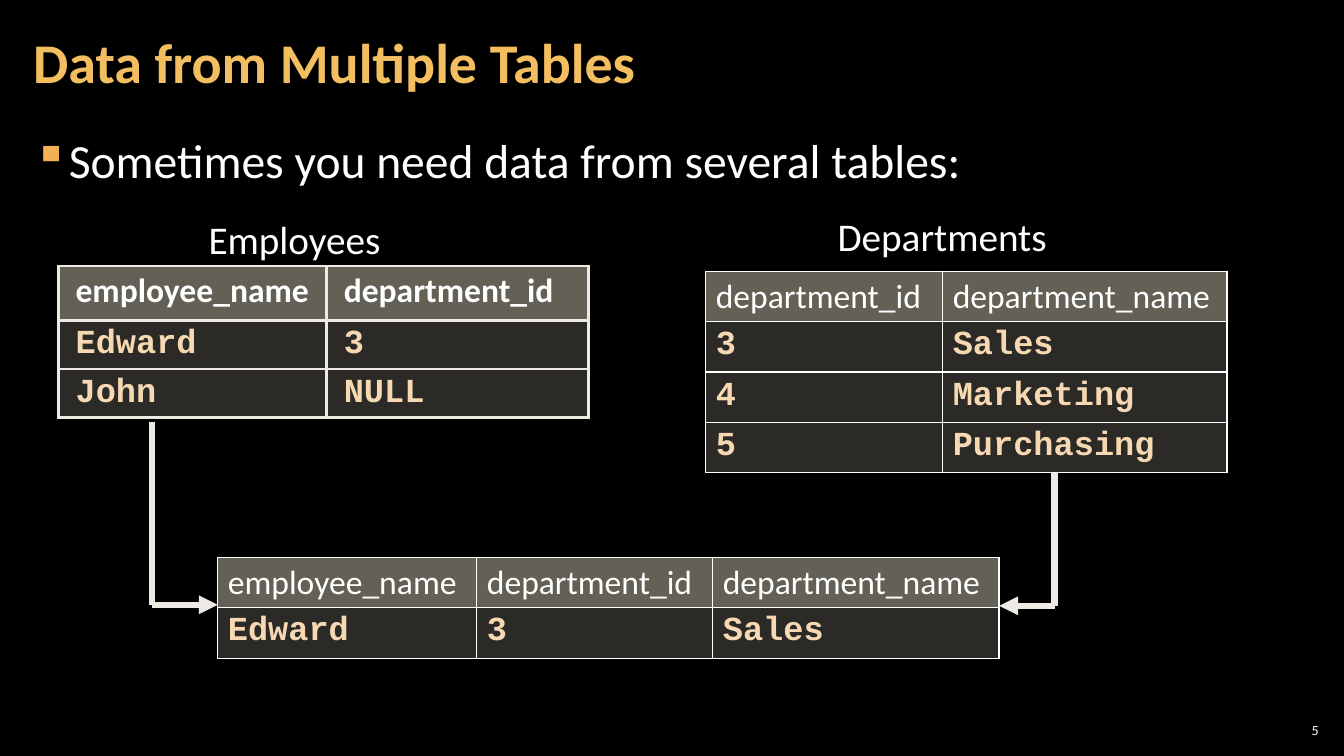
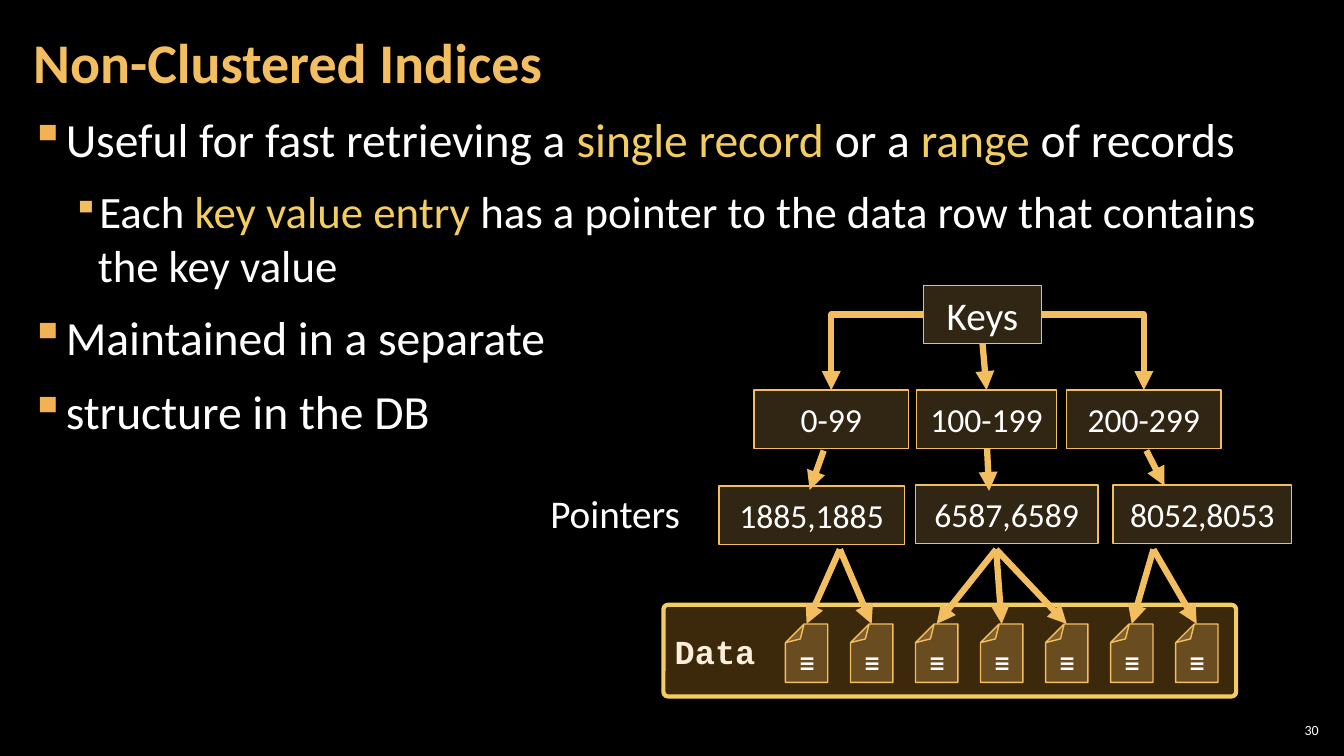
import pptx
import pptx.dml.color
import pptx.enum.shapes
import pptx.enum.text
import pptx.oxml.ns
import pptx.util
from lxml import etree

Inches, Pt = pptx.util.Inches, pptx.util.Pt
qn = pptx.oxml.ns.qn
MSO_SHAPE = pptx.enum.shapes.MSO_SHAPE
CONNECTOR = pptx.enum.shapes.MSO_CONNECTOR
ALIGN = pptx.enum.text.PP_ALIGN
ANCHOR = pptx.enum.text.MSO_ANCHOR

COLORS = {
    "background": "000000", "white": "FFFFFF", "gold": "F3BE60",
    "yellow": "F3CD60", "bullet": "F2B254", "amber": "F0A22E",
    "cream": "FBEEDC", "ivory": "ECEAE3", "value": "F6D9B2",
    "header_fill": "C6C0AA", "value_fill": "D9D5C7",
}
# Text style: colour, then font attributes
FORMATS = {
    "title": ("gold", {"name": "Calibri", "size": Pt(40), "bold": True}),
    "body": ("white", {"name": "Calibri", "size": Pt(34)}),
    "sub_body": ("white", {"name": "Calibri", "size": Pt(32)}),
    "caption": ("white", {"name": "Calibri", "size": Pt(28)}),
    "label": ("white", {"name": "Calibri", "size": Pt(24)}),
    "header": ("white", {"name": "Calibri", "size": Pt(24), "bold": False}),
    "bold_header": ("white", {"name": "Calibri", "size": Pt(24), "bold": True}),
    "value": ("value", {"name": "Courier New", "size": Pt(24), "bold": True}),
    "data": ("cream", {"name": "Courier New", "size": Pt(24), "bold": True}),
    "icon": ("white", {"name": "Courier New", "size": Pt(18), "bold": True}),
    "number": ("white", {"name": "Calibri", "size": Pt(10)}),
}
# Bullet level: text style, left margin, indent, bullet colour, bullet size
LEVELS = [
    ("body", 0.33, -0.33, "bullet", 100),
    ("sub_body", 0.67, -0.25, "gold", 80),
]
TITLE_INSETS = (0.12, 0.04)


def rgb(color):
    return pptx.dml.color.RGBColor.from_string(COLORS[color])


def add_xml(parent, tag, **attributes):
    child = etree.SubElement(parent, qn(tag))
    for key, value in attributes.items():
        child.set(key, str(value))
    return child


def fill_solid(target, properties, color, opacity):
    """Fill with a colour at a percentage of opacity."""
    target.fill.solid()
    target.fill.fore_color.rgb = rgb(color)
    color_xml = properties.find(qn("a:solidFill"))[0]
    add_xml(color_xml, "a:alpha", val=opacity * 1000)


def write(paragraph, text, style, color=None):
    run = paragraph.add_run()
    run.text = text
    default_color, font_format = FORMATS[style]
    for key, value in font_format.items():
        setattr(run.font, key, value)
    run.font.color.rgb = rgb(color or default_color)


def set_frame(frame, insets=(0.1, 0.05), anchor=ANCHOR.TOP):
    horizontal, vertical = (Inches(inset) for inset in insets)
    frame_format = {
        "margin_left": horizontal, "margin_right": horizontal,
        "margin_top": vertical, "margin_bottom": vertical,
        "word_wrap": True, "vertical_anchor": anchor,
    }
    for key, value in frame_format.items():
        setattr(frame, key, value)


class Deck:
    """Holds the presentation, its style and the current slide."""

    def __init__(self):
        self.presentation = pptx.Presentation()
        self.presentation.slide_width = Inches(13.33)
        self.presentation.slide_height = Inches(7.5)
        background = self.presentation.slide_master.background.fill
        background.solid()
        background.fore_color.rgb = rgb("background")
        self.slide = None

    def start_slide(self, title, number):
        blank = self.presentation.slide_layouts[6]
        self.slide = self.presentation.slides.add_slide(blank)
        heading = self.text((0.21, 0.04, 10.47, 1.21), title, "title",
                            insets=TITLE_INSETS, anchor=ANCHOR.MIDDLE)
        heading.line_spacing = 0.9
        self.text((12.65, 7.14, 0.47, 0.21), number, "number", ALIGN.RIGHT,
                  insets=(0.04, 0.04), anchor=ANCHOR.MIDDLE)

    def frame(self, box, **frame_options):
        frame = self.slide.shapes.add_textbox(*map(Inches, box)).text_frame
        set_frame(frame, **frame_options)
        return frame

    def text(self, box, text, style, align=ALIGN.LEFT, **frame_options):
        paragraph = self.frame(box, **frame_options).paragraphs[0]
        paragraph.alignment = align
        write(paragraph, text, style)
        return paragraph

    def bullets(self, box, items):
        """Items are (level, [(text, colour or None), ...])."""
        frame = self.frame(box, insets=TITLE_INSETS)
        for index, (level, parts) in enumerate(items):
            paragraph = frame.add_paragraph() if index else frame.paragraphs[0]
            style, margin, indent, color, size = LEVELS[level]
            paragraph.level = level
            paragraph.space_before = Pt(6 if index else 0)
            paragraph.space_after = Pt(6)
            properties = paragraph._p.get_or_add_pPr()
            properties.set("marL", str(Inches(margin)))
            properties.set("indent", str(Inches(indent)))
            bullet_color = add_xml(properties, "a:buClr")
            add_xml(bullet_color, "a:srgbClr", val=COLORS[color])
            add_xml(properties, "a:buSzPct", val=size * 1000)
            add_xml(properties, "a:buChar", char="▪")
            for text, part_color in parts:
                write(paragraph, text, style, part_color)

    def shape(self, box, kind=MSO_SHAPE.RECTANGLE, text="", style="label",
              fill=("gold", 20), line=("gold", 1), align=ALIGN.CENTER, adjust=None):
        shape = self.slide.shapes.add_shape(kind, *map(Inches, box))
        shape.shadow.inherit = False
        fill_solid(shape, shape.element.spPr, *fill)
        line_color, width = line
        shape.line.color.rgb = rgb(line_color)
        shape.line.width = Pt(width)
        if adjust is not None:
            outline = shape.element.spPr.find(qn("a:prstGeom"))
            for guides in outline.findall(qn("a:avLst")):
                outline.remove(guides)
            add_xml(add_xml(outline, "a:avLst"), "a:gd", name="adj",
                    fmla=f"val {round(adjust * 100000)}")
        set_frame(shape.text_frame, anchor=ANCHOR.MIDDLE)
        if text:
            paragraph = shape.text_frame.paragraphs[0]
            paragraph.alignment = align
            write(paragraph, text, style)
        return shape

    def style_line(self, connector, color, arrow=True):
        connector.line.color.rgb = rgb(color)
        connector.line.width = Pt(4.5)
        properties = connector._element.spPr
        if arrow:
            add_xml(properties.find(qn("a:ln")), "a:tailEnd", type="triangle")
        add_xml(properties, "a:effectLst")

    def arrow(self, *points, color="gold"):
        """Straight segments through the points, with a head on the last."""
        for start, end in zip(points, points[1:]):
            connector = self.slide.shapes.add_connector(
                CONNECTOR.STRAIGHT, *map(Inches, start + end))
            self.style_line(connector, color, arrow=end == points[-1])

    def link(self, parent, site, child):
        """Join a side of the parent to the top of the child."""
        bottom = 2
        kind = CONNECTOR.STRAIGHT if site == bottom else CONNECTOR.ELBOW
        connector = self.slide.shapes.add_connector(kind, 0, 0, 0, 0)
        connector.begin_connect(parent, site)
        connector.end_connect(child, 0)
        if kind == CONNECTOR.ELBOW:
            outline = connector._element.spPr.find(qn("a:prstGeom"))
            outline.set("prst", "bentConnector2")
        self.style_line(connector, "gold")

    def border(self, cell, color, width):
        properties = cell._tc.get_or_add_tcPr()
        for index, side in enumerate(("a:lnL", "a:lnR", "a:lnT", "a:lnB")):
            edge = add_xml(properties, side, w=Pt(width))
            add_xml(add_xml(edge, "a:solidFill"), "a:srgbClr", val=COLORS[color])
            properties.insert(index, edge)

    def table(self, left, top, widths, heights, rows, header="header",
              border=("white", 1), side_margin=0.1):
        table = self.slide.shapes.add_table(
            len(rows), len(widths), Inches(left), Inches(top),
            Inches(sum(widths)), Inches(sum(heights))).table
        table.first_row = table.horz_banding = False
        for column, width in zip(table.columns, widths):
            column.width = Inches(width)
        for row_index, (values, height) in enumerate(zip(rows, heights)):
            table.rows[row_index].height = Inches(height)
            style = "value" if row_index else header
            fill = ("value_fill", 20) if row_index else ("header_fill", 50)
            for column_index, value in enumerate(values):
                cell = table.cell(row_index, column_index)
                cell.margin_left = cell.margin_right = Inches(side_margin)
                fill_solid(cell, cell._tc.get_or_add_tcPr(), *fill)
                self.border(cell, *border)
                paragraph = cell.text_frame.paragraphs[0]
                if style != "header":
                    paragraph.line_spacing = 0.95
                write(paragraph, value, style)


def build_tables_slide(deck):
    deck.start_slide("Data from Multiple Tables", "5")
    deck.arrow((10.46, 4.69), (10.46, 6.01), (9.91, 6.01), color="ivory")
    deck.arrow((1.51, 4.19), (1.51, 6), (2.16, 6), color="ivory")
    deck.bullets((0.21, 1.26, 12.91, 0.8), [
        (0, [("Sometimes you need data from several tables:", None)])])
    deck.text((1.97, 2.09, 2.2, 0.57), "Employees", "caption")
    deck.text((8.21, 2.06, 2.5, 0.57), "Departments", "caption")
    deck.table(7, 2.69, (2.35, 2.82), [0.5] * 4, [
        ("department_id", "department_name"),
        ("3", "Sales"), ("4", "Marketing"), ("5", "Purchasing")])
    deck.table(2.16, 5.53, (2.57, 2.34, 2.84), [0.5] * 2, [
        ("employee_name", "department_id", "department_name"),
        ("Edward", "3", "Sales")])
    deck.table(0.58, 2.64, (2.66, 2.6), (0.54, 0.48, 0.48), [
        ("employee_name", "department_id"), ("Edward", "3"), ("John", "NULL")],
        header="bold_header", border=("ivory", 2.25), side_margin=0.17)


def build_indices_slide(deck):
    deck.start_slide("Non-Clustered Indices", "30")
    deck.bullets((0.18, 1.05, 12.91, 6.09), [
        (0, [("Useful for fast retrieving a ", None), ("single record ", "yellow"),
             ("or a ", None), ("range", "yellow"), (" of records", None)]),
        (1, [("Each ", None), ("key value entry ", "yellow"),
             ("has a pointer to the data row that contains the key value", None)]),
        (0, [("Maintained in a separate", None)]),
        (0, [("structure in the DB", None)]),
    ])
    box_height = 0.58
    keys = deck.shape((9.16, 2.83, 1.17, box_height), text="Keys", style="caption")

    deck.shape((6.58, 6, 5.68, 0.91), MSO_SHAPE.ROUNDED_RECTANGLE, "Data", "data",
               ("amber", 25), ("yellow", 3), ALIGN.LEFT, adjust=0.05)
    first_page, last_page, page_count = 8, 11.87, 7
    page_step = (last_page - first_page) / (page_count - 1)
    page_centers = [first_page + page_step * i for i in range(page_count)]
    page_top = 6.19
    for center in page_centers:
        page = deck.shape((center - 0.21, page_top, 0.42, box_height),
                          MSO_SHAPE.FOLDED_CORNER, fill=("gold", 25), adjust=0.44)
        page.rotation = 180
        deck.text((center - 0.33, 6.35, 0.67, 0.4), "☰", "icon", ALIGN.CENTER)

    ranges = [(7.48, 1.53, "0-99", 1), (9.09, 1.39, "100-199", 2),
              (10.58, 1.53, "200-299", 3)]
    for left, width, label, keys_side in ranges:
        key_range = deck.shape((left, 3.87, width, box_height), text=label)
        deck.link(keys, keys_side, key_range)

    fans = [(8.33, page_centers[:2]), (9.88, page_centers[2:5]),
            (11.44, page_centers[5:])]
    for origin, targets in fans:
        for target in targets:
            deck.arrow((origin, 5.45), (target, page_top))

    pointers = [(7.13, 4.82, 1.84, "1885,1885"), (9.08, 4.81, 1.81, "6587,6589"),
                (11.04, 4.81, 1.77, "8052,8053")]
    for left, top, width, label in pointers:
        deck.shape((left, top, width, box_height), text=label)
    deck.arrow((8.17, 4.47), (8.03, 4.86))
    deck.arrow((9.79, 4.45), (9.81, 4.87))
    deck.arrow((11.37, 4.47), (11.55, 4.82))
    deck.text((5.36, 4.81, 1.7, 0.57), "Pointers", "caption")


def main():
    deck = Deck()
    build_tables_slide(deck)
    build_indices_slide(deck)
    deck.presentation.save("out.pptx")


if __name__ == "__main__":
    main()
